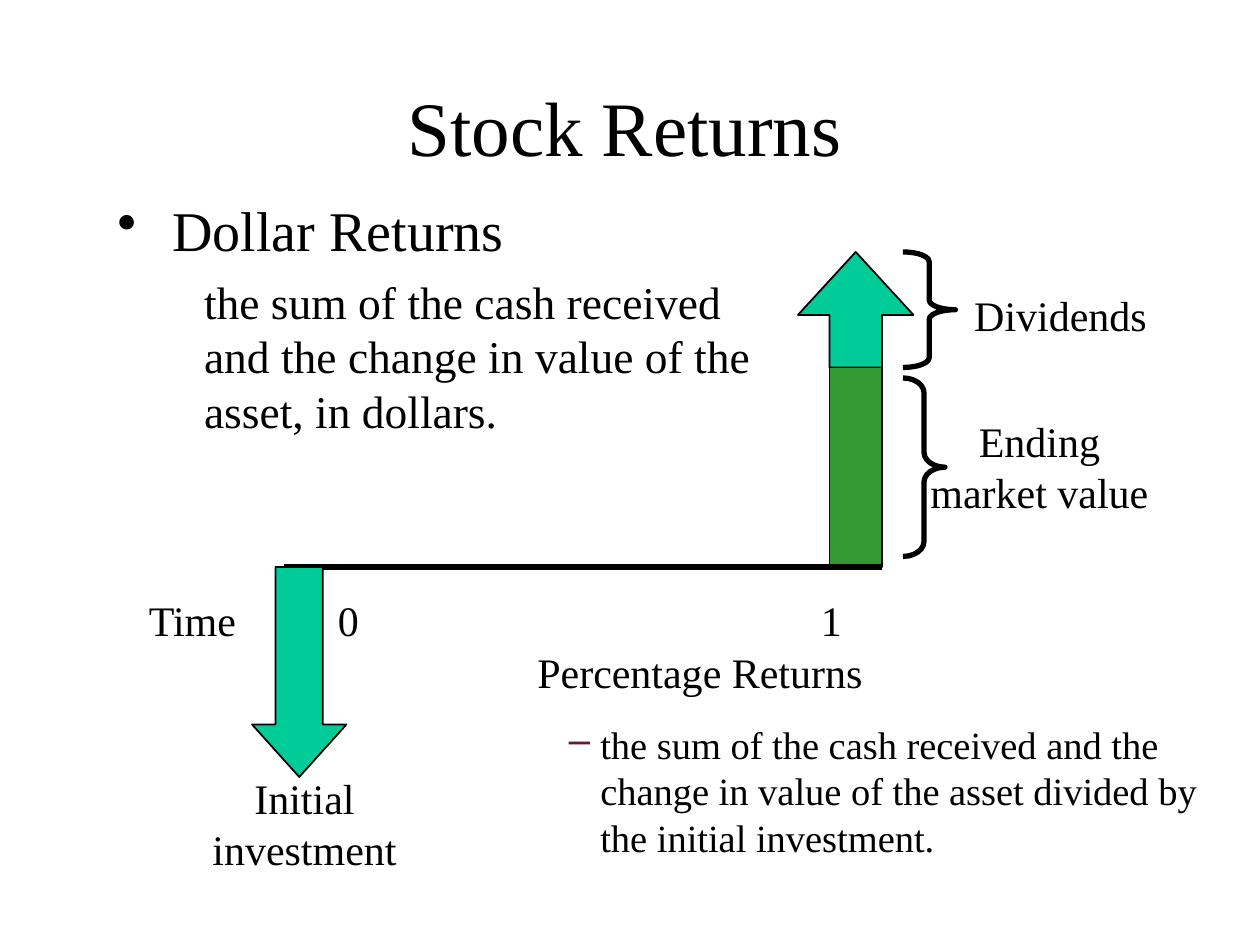
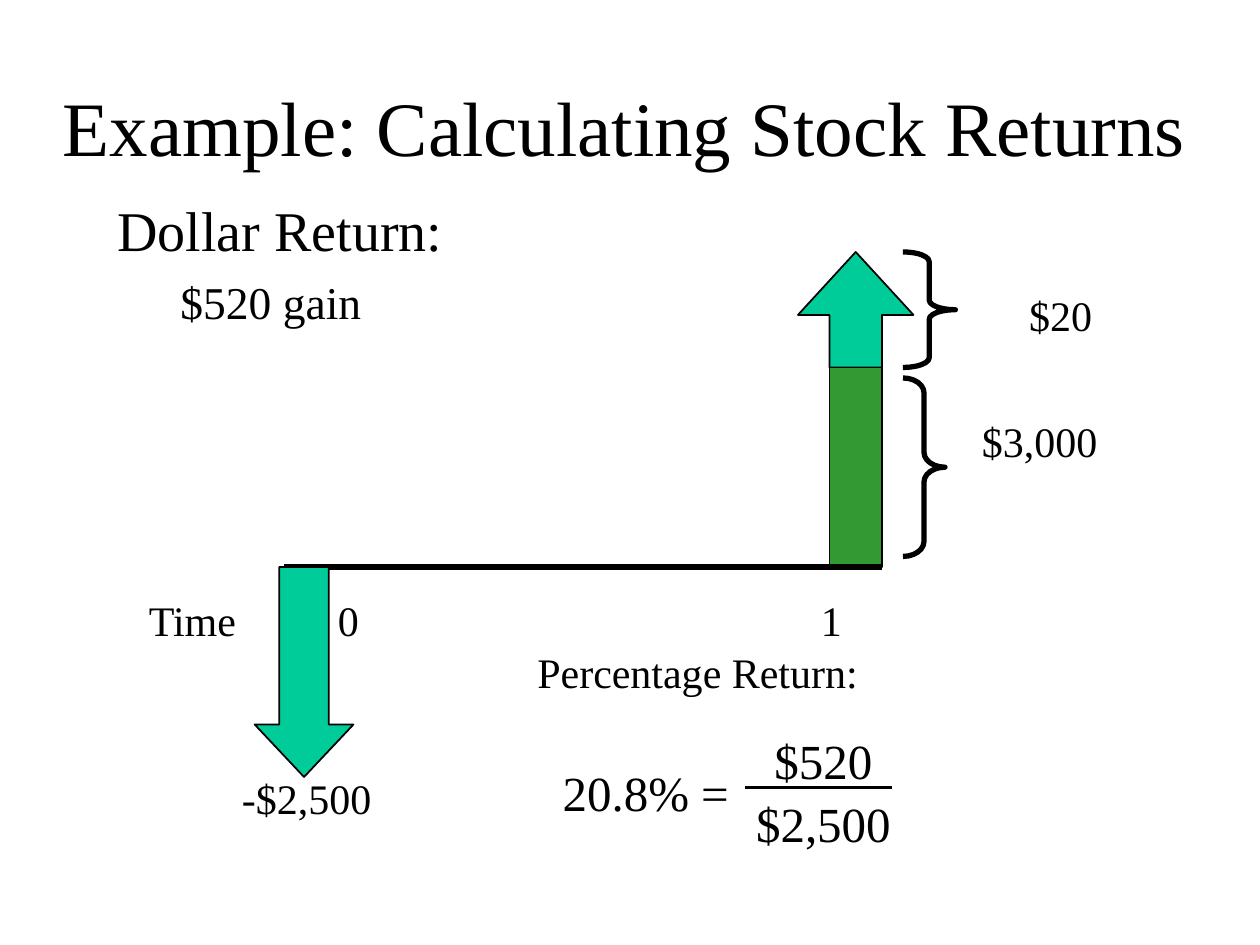
from dataclasses import dataclass

from lxml import etree
from pptx import Presentation
from pptx.dml.color import RGBColor
from pptx.enum import shapes, text
from pptx.oxml import ns
from pptx.util import Pt

KIND = shapes.MSO_SHAPE
LEFT, MID = text.PP_ALIGN.LEFT, text.PP_ALIGN.CENTER


@dataclass(frozen=True)
class Theme:
    font: str = "Times New Roman"
    ink: str = "000000"
    mint: str = "00CC99"
    green: str = "339933"
    plum: str = "671739"
    title: int = 44
    head: int = 32
    sum: int = 28
    body: int = 26
    label: int = 24
    note: int = 22
    thin: float = 1
    rule: float = 1.5
    thick: float = 3


@dataclass
class Para:
    words: str
    size: int
    align: int = LEFT
    before: float = 0
    margin: float = 0
    hang: float = 0
    mark: str = ""
    tint: str = "000000"


class Deck:
    def __init__(self, theme):
        self.theme = theme
        self.file = Presentation()
        self.file.slide_width, self.file.slide_height = Pt(720), Pt(540)
        self.slide = None

    def page(self, title):
        self.slide = self.file.slides.add_slide(self.file.slide_layouts[6])
        box = self.text(18, 36, 678, 72, Para(title, self.theme.title, MID))
        box.text_frame.vertical_anchor = text.MSO_ANCHOR.MIDDLE

    def text(self, x, y, w, h, *paras):
        box = self.slide.shapes.add_textbox(Pt(x), Pt(y), Pt(w), Pt(h))
        frame = box.text_frame
        frame.word_wrap = True
        for i, item in enumerate(paras):
            para = frame.add_paragraph() if i else frame.paragraphs[0]
            para.alignment = item.align
            para.space_before = Pt(item.before)
            self.indent(para, item)
            run = para.add_run()
            run.text = item.words
            run.font.name, run.font.size = self.theme.font, Pt(item.size)
            run.font.color.rgb = RGBColor.from_string(self.theme.ink)
        return box

    def indent(self, para, item):
        props = para._p.get_or_add_pPr()
        props.set("marL", str(Pt(item.margin)))
        props.set("indent", str(Pt(-item.hang)))
        if item.mark:
            tint = etree.SubElement(props, ns.qn("a:buClr"))
            etree.SubElement(tint, ns.qn("a:srgbClr"), val=item.tint)
            etree.SubElement(props, ns.qn("a:buChar"), char=item.mark)

    def label(self, x, y, w, words, align=MID, size=None, h=36):
        self.text(x, y, w, h, Para(words, size or self.theme.label, align))

    def shape(self, kind, x, y, w, h, fill=None, adjust=(), width=None):
        form = self.slide.shapes.add_shape(kind, Pt(x), Pt(y), Pt(w), Pt(h))
        form.shadow.inherit = False
        if fill:
            form.fill.solid()
            form.fill.fore_color.rgb = RGBColor.from_string(fill)
        else:
            form.fill.background()
        self.stroke(form.line, width or self.theme.thin)
        for i, value in enumerate(adjust):
            form.adjustments[i] = value

    def arrow(self, kind, x, y, w, h, shaft, head):
        self.shape(kind, x, y, w, h, self.theme.mint,
                   (shaft / w, head / min(w, h)))

    def brace(self, x, y, w, h):
        self.shape(KIND.RIGHT_BRACE, x, y, w, h,
                   adjust=(h / 12 / w, 0.5), width=self.theme.thick)

    def line(self, x, end, y, width):
        rule = self.slide.shapes.add_connector(
            shapes.MSO_CONNECTOR.STRAIGHT, Pt(x), Pt(y), Pt(end), Pt(y))
        self.stroke(rule.line, width)
        etree.SubElement(rule._element.spPr, ns.qn("a:effectLst"))

    def stroke(self, line, width):
        line.color.rgb = RGBColor.from_string(self.theme.ink)
        line.width = Pt(width)

    def chart(self, gain, value, cost, x, w):
        """Cash flow diagram: payoff above the time axis, outlay below."""
        # Payoff at time 1
        self.arrow(KIND.UP_ARROW, 456, 144, 66, 66, shaft=30, head=36)
        self.shape(KIND.RECTANGLE, 474, 210, 30, 114, self.theme.green)
        self.label(528, 162, 156, gain)
        self.brace(516, 144, 30, 66)
        self.label(516, 234, 156, value, h=64)
        self.brace(516, 216, 24, 102)
        # Time axis
        self.line(162, 504, 324, self.theme.thick)
        for left, wide, words in ((78, 66, "Time"), (186, 30, "0"), (462, 30, "1")):
            self.label(left, 336, wide, words, LEFT)
        # Outlay at time 0
        self.arrow(KIND.DOWN_ARROW, x, 324, w, 120, shaft=w / 2, head=30)
        self.label(108, 438, w + 78, cost, h=64)


def main():
    theme = Theme()
    deck = Deck(theme)

    # Slide 1: terms
    deck.page("Stock Returns")
    deck.text(60, 108, 389, 160,
              Para("Dollar Returns", theme.head, margin=31.5, hang=31.5, mark="•"),
              Para("the sum of the cash received and the change in value of "
                   "the asset, in dollars.", theme.body, before=6.5, margin=49.5))
    deck.chart("Dividends", "Ending market value", "Initial investment", 144, 54)
    deck.text(300, 366, 396, 129,
              Para("Percentage Returns", theme.label),
              Para("the sum of the cash received and the change in value of the "
                   "asset divided by the initial investment.", theme.note,
                   before=13.8, margin=36, hang=18, mark="–", tint=theme.plum))

    # Slide 2: worked example
    deck.page("Example: Calculating Stock Returns")
    deck.text(60, 108, 389, 160,
              Para("Dollar Return:", theme.head),
              Para("$520 gain", theme.body, before=6.5, margin=36))
    deck.chart("$20", "$3,000", "-$2,500", 145.5, 56.5)
    deck.label(300, 366, 396, "Percentage Return:", LEFT)

    # Fraction
    deck.label(312, 432, 114, "20.8% =", size=theme.sum, h=41)
    for top, words in ((414, "$520"), (450, "$2,500")):
        deck.label(422.5, top, 96, words, size=theme.sum, h=41)
    deck.line(426, 510, 450, theme.rule)

    deck.file.save("out.pptx")


if __name__ == "__main__":
    main()
